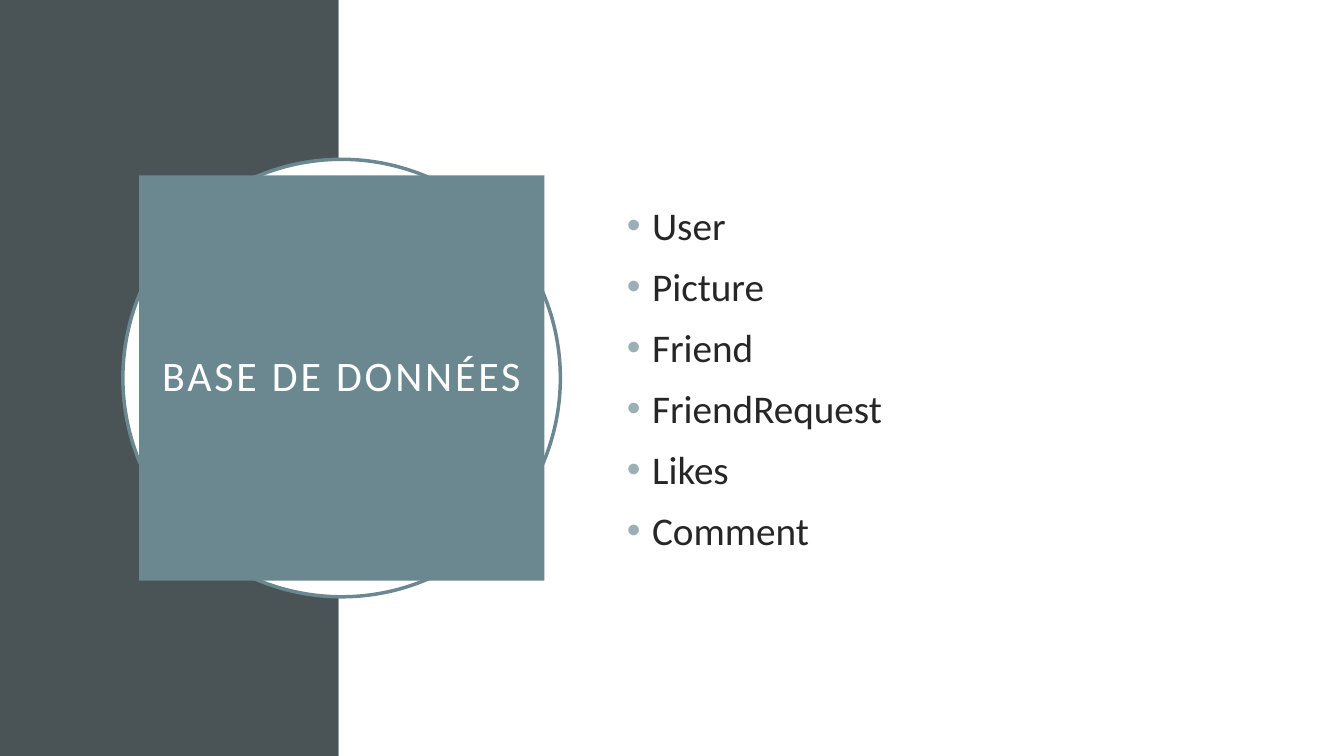
from collections import namedtuple

from lxml.etree import SubElement
from pptx import Presentation
from pptx.dml.color import RGBColor
from pptx.enum.shapes import MSO_SHAPE as Preset
from pptx.enum.text import MSO_ANCHOR as Anchor, MSO_AUTO_SIZE as AutoSize, PP_ALIGN as Align
from pptx.oxml.ns import qn
from pptx.util import Pt

SLATE = RGBColor(0x4A, 0x53, 0x56)
TEAL = RGBColor(0x6B, 0x88, 0x91)
PALE_TEAL = RGBColor(0x9B, 0xAF, 0xB5)
INK = RGBColor(0x26, 0x26, 0x26)
WHITE = RGBColor(0xFF, 0xFF, 0xFF)
FONT = "Calibri"
WIDTH, HEIGHT = 960, 540
PANEL_WIDTH = 242
TABLES = ["User", "Picture", "Friend", "FriendRequest", "Likes", "Comment"]

Box = namedtuple("Box", "left top width height")


def place(shape, box):
    shape.left, shape.top, shape.width, shape.height = map(Pt, box)


def add_filled(page, preset, box, fill, line=None):
    shape = page.shapes.add_shape(preset, *map(Pt, box))
    shape.shadow.inherit = False
    shape.fill.solid()
    shape.fill.fore_color.rgb = fill
    if line is None:
        shape.line.fill.background()
    else:
        shape.line.color.rgb = line
        shape.line.width = Pt(2.5)


def write(para, text, size, color, align=Align.LEFT, tracking=0, before=0, leading=1.0):
    para.alignment = align
    para.space_before = Pt(before)
    para.line_spacing = leading
    span = para.add_run()
    span.text = text
    span.font.name = FONT
    span.font.size = Pt(size)
    span.font.color.rgb = color
    if tracking:
        span.font._element.set("spc", str(tracking * 100))


def add_bullet(para, color, indent):
    props = para._p.get_or_add_pPr()
    props.set("marL", str(Pt(indent)))
    props.set("indent", str(-Pt(indent)))
    tint = SubElement(props, qn("a:buClr"))
    SubElement(tint, qn("a:srgbClr"), val=str(color))
    SubElement(props, qn("a:buFont"), typeface="Arial")
    SubElement(props, qn("a:buChar"), char="•")


def prepare_frame(shape):
    frame = shape.text_frame
    frame.word_wrap = True
    frame.auto_size = AutoSize.NONE
    frame.vertical_anchor = Anchor.MIDDLE
    return frame


def build_background(page, box):
    panel = box._replace(width=PANEL_WIDTH)
    content = box._replace(left=box.left + PANEL_WIDTH, width=box.width - PANEL_WIDTH)
    add_filled(page, Preset.RECTANGLE, panel, SLATE)
    add_filled(page, Preset.RECTANGLE, content, WHITE)


def build_title(page, box, text):
    add_filled(page, Preset.OVAL, box, WHITE, TEAL)
    inset = 11.5
    title = page.shapes.title
    place(title, Box(box.left + inset, box.top + inset,
                     box.width - 2 * inset, box.height - 2 * inset))
    title.fill.solid()
    title.fill.fore_color.rgb = TEAL
    frame = prepare_frame(title)
    frame.margin_left = frame.margin_right = Pt(14.4)
    frame.margin_top = frame.margin_bottom = Pt(14.4)
    write(frame.paragraphs[0], text, 30, WHITE, align=Align.CENTER, tracking=2, leading=0.9)
    page.shapes._spTree.append(title._element)


def build_list(page, box, items):
    body = page.placeholders[1]
    place(body, box)
    frame = prepare_frame(body)
    for index, item in enumerate(items):
        para = frame.add_paragraph() if index else frame.paragraphs[0]
        write(para, item, 28, INK, before=10)
        add_bullet(para, PALE_TEAL, 18)
    page.shapes._spTree.append(body._element)


deck = Presentation()
deck.slide_width, deck.slide_height = Pt(WIDTH), Pt(HEIGHT)
page = deck.slides.add_slide(deck.slide_layouts[1])
build_background(page, Box(0, 0, WIDTH, HEIGHT))
build_title(page, Box(87.8, 113.8, 312.5, 312.5), "BASE DE DONNÉES")
build_list(page, Box(440.6, 110.2, 419, 319), TABLES)
deck.save("out.pptx")
